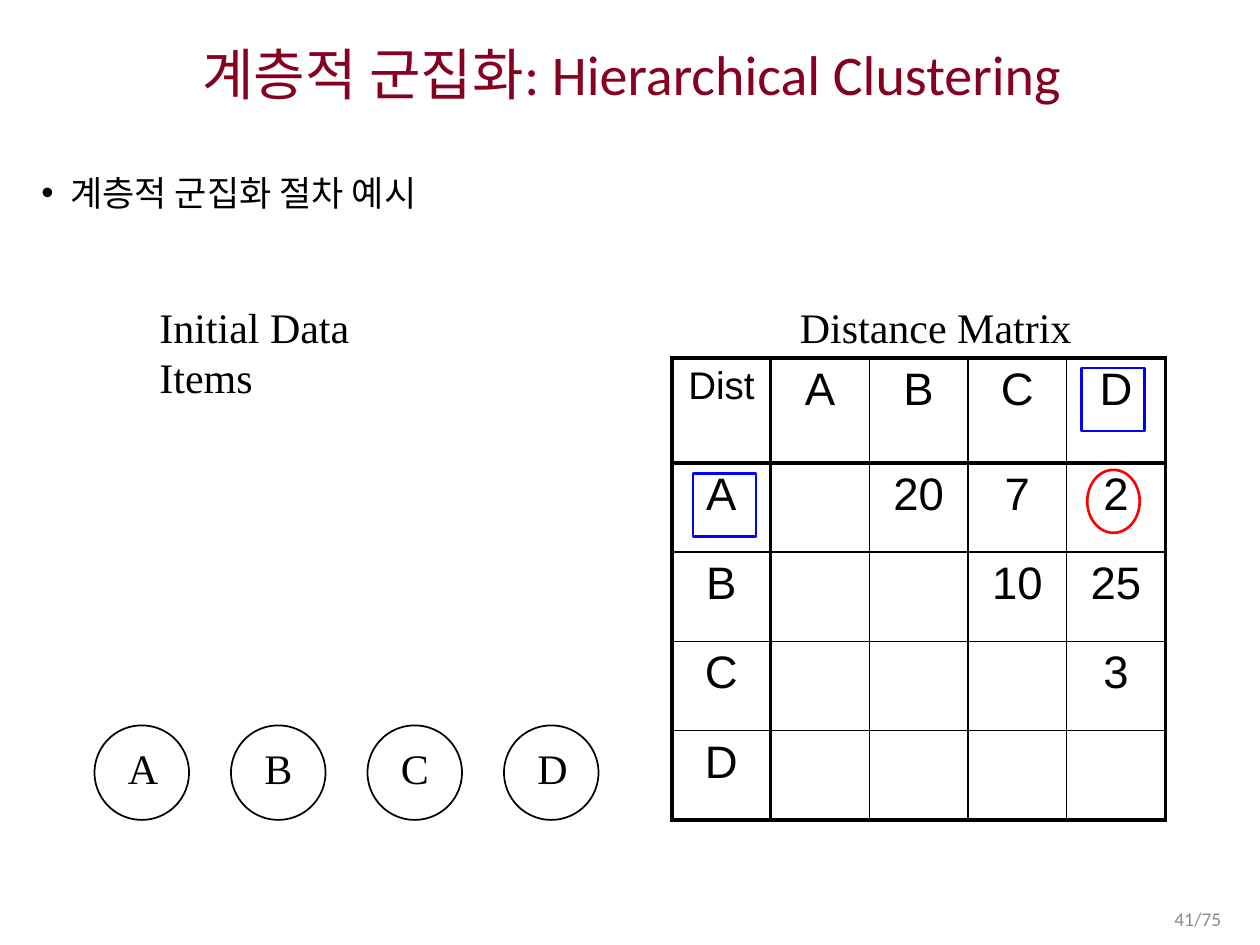
from dataclasses import dataclass

from lxml import etree
from pptx import Presentation
from pptx.dml.color import RGBColor
from pptx.enum.shapes import MSO_SHAPE
from pptx.enum.text import MSO_ANCHOR, MSO_AUTO_SIZE, PP_ALIGN
from pptx.oxml.ns import qn
from pptx.util import Pt

CENTER, RIGHT = PP_ALIGN.CENTER, PP_ALIGN.RIGHT
MIDDLE, TOP = MSO_ANCHOR.MIDDLE, MSO_ANCHOR.TOP
FIT_SHAPE, NO_FIT = MSO_AUTO_SIZE.SHAPE_TO_FIT_TEXT, MSO_AUTO_SIZE.NONE
OVAL, RECTANGLE = MSO_SHAPE.OVAL, MSO_SHAPE.RECTANGLE

COLORS = {
    "title": "860020",
    "text": "000000",
    "page": "8C8C8C",
    "minimum": "FF0000",
    "pair": "0000FF",
}
SANS, SERIF, TABLE_FONT = "Calibri", "Times New Roman", "Arial"
THIN, THICK = 1, 2.25

DISTANCES = [
    ["Dist", "A", "B", "C", "D"],
    ["A", "", "20", "7", "2"],
    ["B", "", "", "10", "25"],
    ["C", "", "", "", "3"],
    ["D", "", "", "", ""],
]
ITEM_PITCH = 78


@dataclass
class Box:
    left: float
    top: float
    width: float
    height: float

    def lengths(self) -> list:
        return [Pt(value) for value in (self.left, self.top, self.width, self.height)]


@dataclass
class Outline:
    kind: int
    box: Box
    color: str
    weight: float


@dataclass
class Label:
    text: str
    box: Box


HEADINGS = [
    Label("Distance Matrix", Box(450, 168.5, 170, 36)),
    Label("Initial Data Items", Box(84, 168.5, 182, 36)),
]
MARKS = [
    Outline(OVAL, Box(621.3, 268.5, 30, 36), "minimum", 1.5),
    Outline(RECTANGLE, Box(618, 210.3, 36, 36), "pair", 1.5),
    Outline(RECTANGLE, Box(396, 270.5, 36, 36), "pair", 1.5),
]


def set_all(target, values: dict) -> None:
    for name, value in values.items():
        setattr(target, name, value)


def write(paragraph, text: str, size: float, font: str, color: str = "text", **layout) -> None:
    paragraph.text = text
    set_all(paragraph, layout)
    for run in paragraph.runs:
        set_all(run.font, {"size": Pt(size), "name": font})
        run.font.color.rgb = RGBColor.from_string(COLORS[color])


def place(shape, box: Box) -> None:
    set_all(shape, dict(zip(("left", "top", "width", "height"), box.lengths())))


def add_outline(shapes, outline: Outline) -> None:
    shape = shapes.add_shape(outline.kind, *outline.box.lengths())
    shape.shadow.inherit = False
    shape.fill.background()
    shape.line.color.rgb = RGBColor.from_string(COLORS[outline.color])
    shape.line.width = Pt(outline.weight)


def add_label(shapes, label: Label) -> None:
    frame = shapes.add_textbox(*label.box.lengths()).text_frame
    set_all(frame, {"word_wrap": False, "auto_size": FIT_SHAPE})
    write(frame.paragraphs[0], label.text, 24, SERIF)


def add_data_item(shapes, name: str, left: float) -> None:
    group = shapes.add_group_shape()
    add_outline(group.shapes, Outline(OVAL, Box(left, 414.5, 54, 54), "text", THIN))
    add_label(group.shapes, Label(name, Box(left + 12, 420.5, 31, 36)))


def add_border(cell, side: str, weight: float) -> None:
    line = etree.SubElement(cell._tc.get_or_add_tcPr(), qn(f"a:ln{side}"), w=str(Pt(weight)))
    fill = etree.SubElement(line, qn("a:solidFill"))
    etree.SubElement(fill, qn("a:srgbClr"), val=COLORS["text"])


def add_distance_matrix(shapes) -> None:
    """Thick lines run around the table and along its header row and column."""
    count = len(DISTANCES)
    table = shapes.add_table(count, count, *Box(384, 204.5, 282, 264).lengths()).table
    set_all(table, {"first_row": False, "horz_banding": False})
    weights = [THICK, THICK] + [THIN] * (count - 2) + [THICK]
    for index in range(count):
        table.columns[index].width = Pt(56.4)
        table.rows[index].height = Pt(51 if index else 60)
    for row, values in enumerate(DISTANCES):
        for column, value in enumerate(values):
            cell = table.cell(row, column)
            sides = {"L": column, "R": column + 1, "T": row, "B": row + 1}
            for side, edge in sides.items():
                add_border(cell, side, weights[edge])
            cell.fill.background()
            size = 22 if value == "Dist" else 26
            write(cell.text_frame.paragraphs[0], value, size, TABLE_FONT, alignment=CENTER)


def fill_placeholders(slide) -> None:
    title, body = slide.shapes.title, slide.placeholders[1]
    place(title, Box(16.5, 18, 689, 52.5))
    set_all(title.text_frame, {"vertical_anchor": MIDDLE, "auto_size": NO_FIT})
    write(title.text_frame.paragraphs[0], "계층적 군집화: Hierarchical Clustering",
          32, SANS, "title", alignment=CENTER, line_spacing=0.9)

    place(body, Box(16.5, 87, 689, 420.5))
    set_all(body.text_frame, {"vertical_anchor": TOP, "auto_size": NO_FIT})
    paragraph = body.text_frame.paragraphs[0]
    properties = paragraph._p.get_or_add_pPr()
    properties.set("marL", str(Pt(16.5)))
    properties.set("indent", str(Pt(-16.5)))
    etree.SubElement(properties, qn("a:buChar"), char="•")
    write(paragraph, "계층적 군집화 절차 예시", 20, SANS, line_spacing=1.3, space_before=Pt(0))


def add_page_number(shapes) -> None:
    frame = shapes.add_textbox(*Box(543, 514, 162, 21.5).lengths()).text_frame
    set_all(frame, {"word_wrap": True, "vertical_anchor": MIDDLE})
    write(frame.paragraphs[0], "41/75", 11.1, SANS, "page", alignment=RIGHT)


def main() -> None:
    presentation = Presentation()
    set_all(presentation, {"slide_width": Pt(720), "slide_height": Pt(540)})
    slide = presentation.slides.add_slide(presentation.slide_layouts[1])
    fill_placeholders(slide)
    for index, name in enumerate(DISTANCES[0][1:]):
        add_data_item(slide.shapes, name, 54 + index * ITEM_PITCH)
    add_distance_matrix(slide.shapes)
    for heading in HEADINGS:
        add_label(slide.shapes, heading)
    for mark in MARKS:
        add_outline(slide.shapes, mark)
    add_page_number(slide.shapes)
    presentation.save("out.pptx")


if __name__ == "__main__":
    main()
